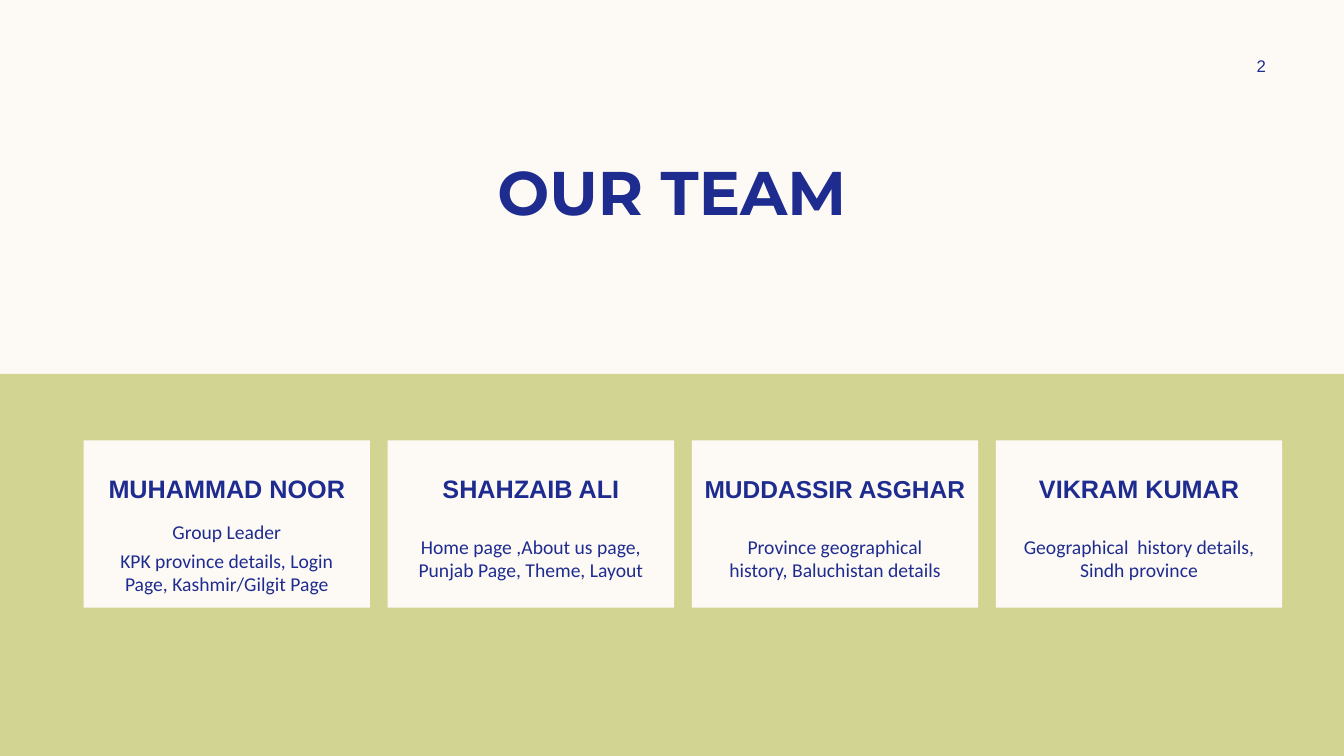
from pptx import Presentation
from pptx import util as u
from pptx.dml.color import RGBColor
from pptx.enum import shapes, text

WIDE, HIGH = 13.33, 7.5
NAVY, CREAM, OLIVE = "1F2C8F", "FDFAF6", "D2D592"


def color(code):
    return RGBColor.from_string(code)


class Deck:
    """Holds the style, the card grid and the current slide."""

    left, pitch, card = 0.83, 3.016, 2.84

    def __init__(self):
        self.prs = Presentation()
        self.prs.slide_width = u.Inches(WIDE)
        self.prs.slide_height = u.Inches(HIGH)

    def page(self, back):
        self.slide = self.prs.slides.add_slide(self.prs.slide_layouts[6])
        fill = self.slide.background.fill
        fill.solid()
        fill.fore_color.rgb = color(back)

    def col(self, num):
        return self.left + num * self.pitch

    def rect(self, x, y, w, h, fill):
        box = self.slide.shapes.add_shape(
            shapes.MSO_SHAPE.RECTANGLE, *map(u.Inches, (x, y, w, h)))
        box.shadow.inherit = False
        box.fill.solid()
        box.fill.fore_color.rgb = color(fill)
        box.line.fill.background()
        return box

    def words(self, box, lines, size, font, bold=False, gap=0, lead=1.0):
        frame = box.text_frame
        frame.word_wrap = True
        frame.vertical_anchor = text.MSO_ANCHOR.MIDDLE
        for num, line in enumerate(lines):
            para = frame.add_paragraph() if num else frame.paragraphs[0]
            para.text = line
            para.alignment = text.PP_ALIGN.CENTER
            para.line_spacing = lead
            if num:
                para.space_before = u.Pt(gap)
            para.font.size = u.Pt(size)
            para.font.name = font
            para.font.bold = bold
            para.font.color.rgb = color(NAVY)
        return frame

    def label(self, x, y, w, h, lines, size, font, **style):
        box = self.slide.shapes.add_textbox(*map(u.Inches, (x, y, w, h)))
        self.words(box, lines, size, font, **style)

    def member(self, num, name, size, tasks, width):
        # Card with the name at its top
        x = self.col(num)
        box = self.rect(x, 4.37, self.card, 1.66, CREAM)
        frame = self.words(box, [name], size, "Arial", bold=True, lead=1.1)
        frame.vertical_anchor = text.MSO_ANCHOR.TOP
        frame.margin_left = frame.margin_right = 0
        frame.margin_top = u.Inches(0.3)
        # Tasks centred below the name
        self.label(x + (self.card - width) / 2, 5.04, width, 0.99,
                   tasks, 14, "Calibri", gap=3.6)


TEAM = [
    ("MUHAMMAD NOOR", 18, ["Group Leader",
     "KPK province details, Login Page, Kashmir/Gilgit Page"], 2.67),
    ("SHAHZAIB ALI", 18,
     ["Home page ,About us page, Punjab Page, Theme, Layout"], 2.5),
    ("MUDDASSIR ASGHAR", 17.5,
     ["Province geographical history, Baluchistan details"], 2.5),
    ("VIKRAM KUMAR", 18,
     ["Geographical  history details, Sindh province"], 2.5),
]


def main():
    deck = Deck()
    deck.page(CREAM)

    # Lower band
    deck.rect(0, 3.71, WIDE, HIGH - 3.71, OLIVE)

    # Title and page number
    deck.label(deck.left, 1.47, WIDE - 2 * deck.left, 0.84,
               ["OUR TEAM"], 44, "Montserrat", bold=True)
    deck.label(11.97, 0.5, 1.08, 0.3, ["2"], 12, "Arial")

    # Team cards
    for num, person in enumerate(TEAM):
        deck.member(num, *person)

    deck.prs.save("out.pptx")


if __name__ == "__main__":
    main()
